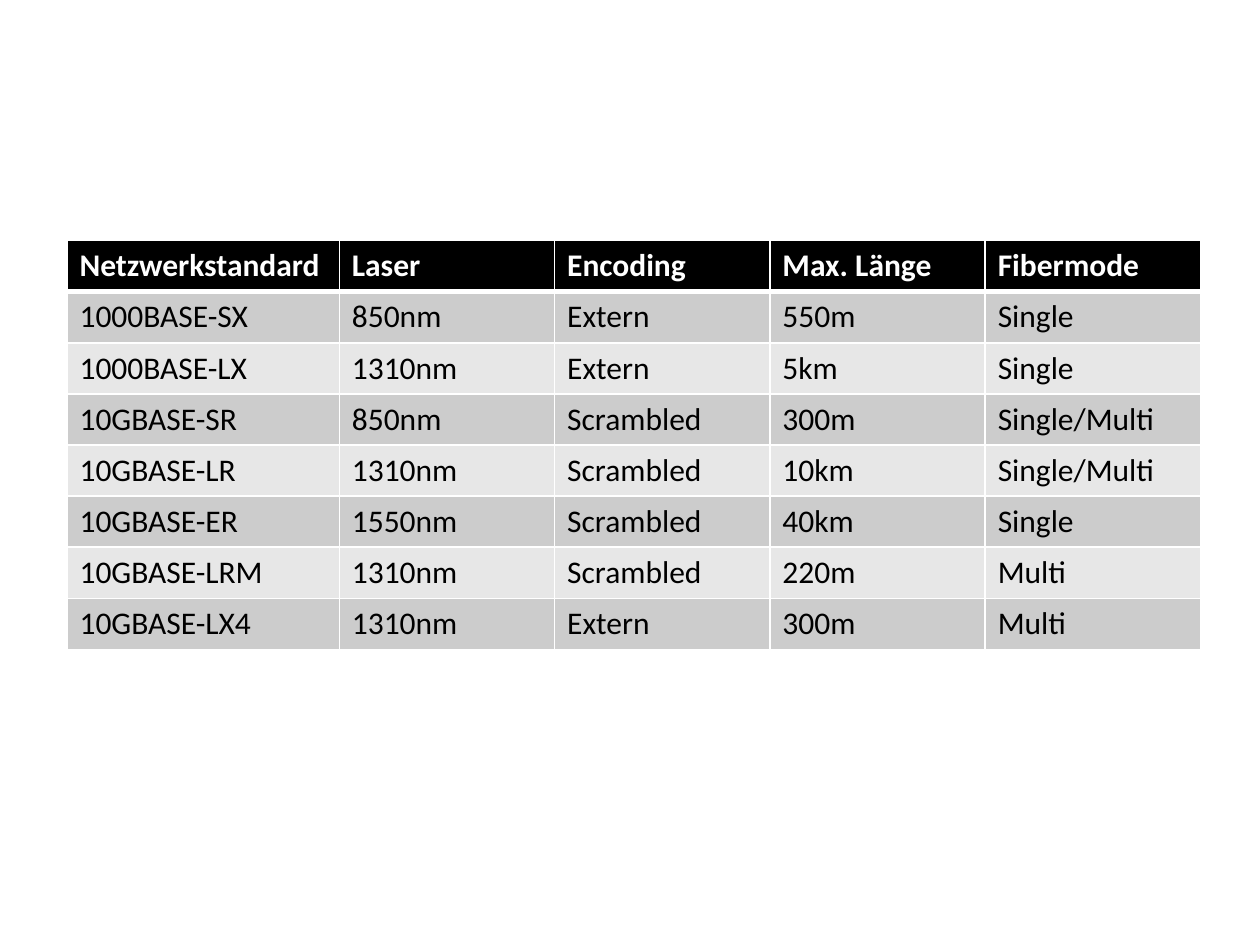
import pptx
import pptx.util
import pptx.dml.color
from lxml import etree
from pptx.oxml.ns import qn

Cm, Pt = pptx.util.Cm, pptx.util.Pt
RGBColor = pptx.dml.color.RGBColor

WHITE = RGBColor(0xFF, 0xFF, 0xFF)
BLACK = RGBColor(0x00, 0x00, 0x00)
DARK_BAND = RGBColor(0xCC, 0xCC, 0xCC)
LIGHT_BAND = RGBColor(0xE7, 0xE7, 0xE7)

FONT = "Calibri"
FIRST_COL_WIDTH = Cm(5.49)
COL_WIDTH = Cm(4.34)
ROW_HEIGHT = Cm(1.03)

STANDARDS = [
    ("Netzwerkstandard", "Laser", "Encoding", "Max. Länge", "Fibermode"),
    ("1000BASE-SX", "850nm", "Extern", "550m", "Single"),
    ("1000BASE-LX", "1310nm", "Extern", "5km", "Single"),
    ("10GBASE-SR", "850nm", "Scrambled", "300m", "Single/Multi"),
    ("10GBASE-LR", "1310nm", "Scrambled", "10km", "Single/Multi"),
    ("10GBASE-ER", "1550nm", "Scrambled", "40km", "Single"),
    ("10GBASE-LRM", "1310nm", "Scrambled", "220m", "Multi"),
    ("10GBASE-LX4", "1310nm", "Extern", "300m", "Multi"),
]


def set_borders(cell, top=1, bottom=1):
    """Draw white cell borders; call before filling, as the schema wants lines first."""
    tc_pr = cell._tc.get_or_add_tcPr()
    for side, width in (("L", 1), ("R", 1), ("T", top), ("B", bottom)):
        ln = etree.SubElement(tc_pr, qn(f"a:ln{side}"), w=str(Pt(width)))
        fill = etree.SubElement(ln, qn("a:solidFill"))
        etree.SubElement(fill, qn("a:srgbClr"), val=str(WHITE))


def fill_cell(cell, text, fill, color, bold):
    cell.fill.solid()
    cell.fill.fore_color.rgb = fill
    r = cell.text_frame.paragraphs[0].add_run()
    r.text = text
    r.font.name = FONT
    r.font.size = Pt(18)
    r.font.bold = bold
    r.font.color.rgb = color


def add_standards_table(s, rows, left, top):
    n_rows, n_cols = len(rows), len(rows[0])
    width = FIRST_COL_WIDTH + (n_cols - 1) * COL_WIDTH
    table = s.shapes.add_table(n_rows, n_cols, left, top, width, n_rows * ROW_HEIGHT).table
    for i, column in enumerate(table.columns):
        column.width = COL_WIDTH if i else FIRST_COL_WIDTH
    for i, row in enumerate(rows):
        table.rows[i].height = ROW_HEIGHT
        header = i == 0
        band = BLACK if header else DARK_BAND if i % 2 else LIGHT_BAND
        for j, text in enumerate(row):
            cell = table.cell(i, j)
            set_borders(cell, top=3 if i == 1 else 1, bottom=3 if header else 1)
            fill_cell(cell, text, band, WHITE if header else BLACK, header)


def main():
    prs = pptx.Presentation()
    prs.slide_width, prs.slide_height = Cm(25.4), Cm(19.05)
    s = prs.slides.add_slide(prs.slide_layouts[6])
    add_standards_table(s, STANDARDS, Cm(1.35), Cm(4.85))
    prs.save("out.pptx")


if __name__ == "__main__":
    main()
